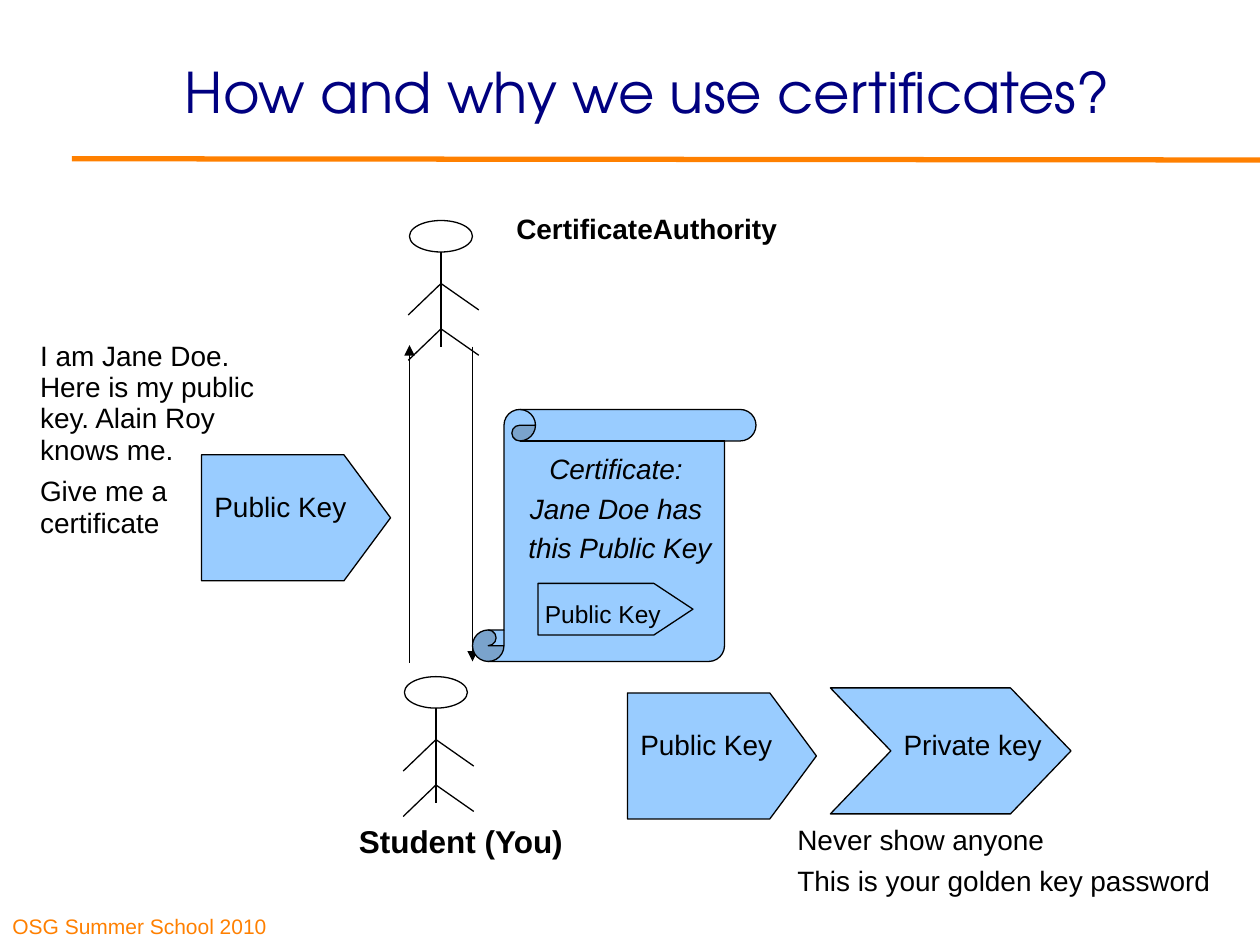
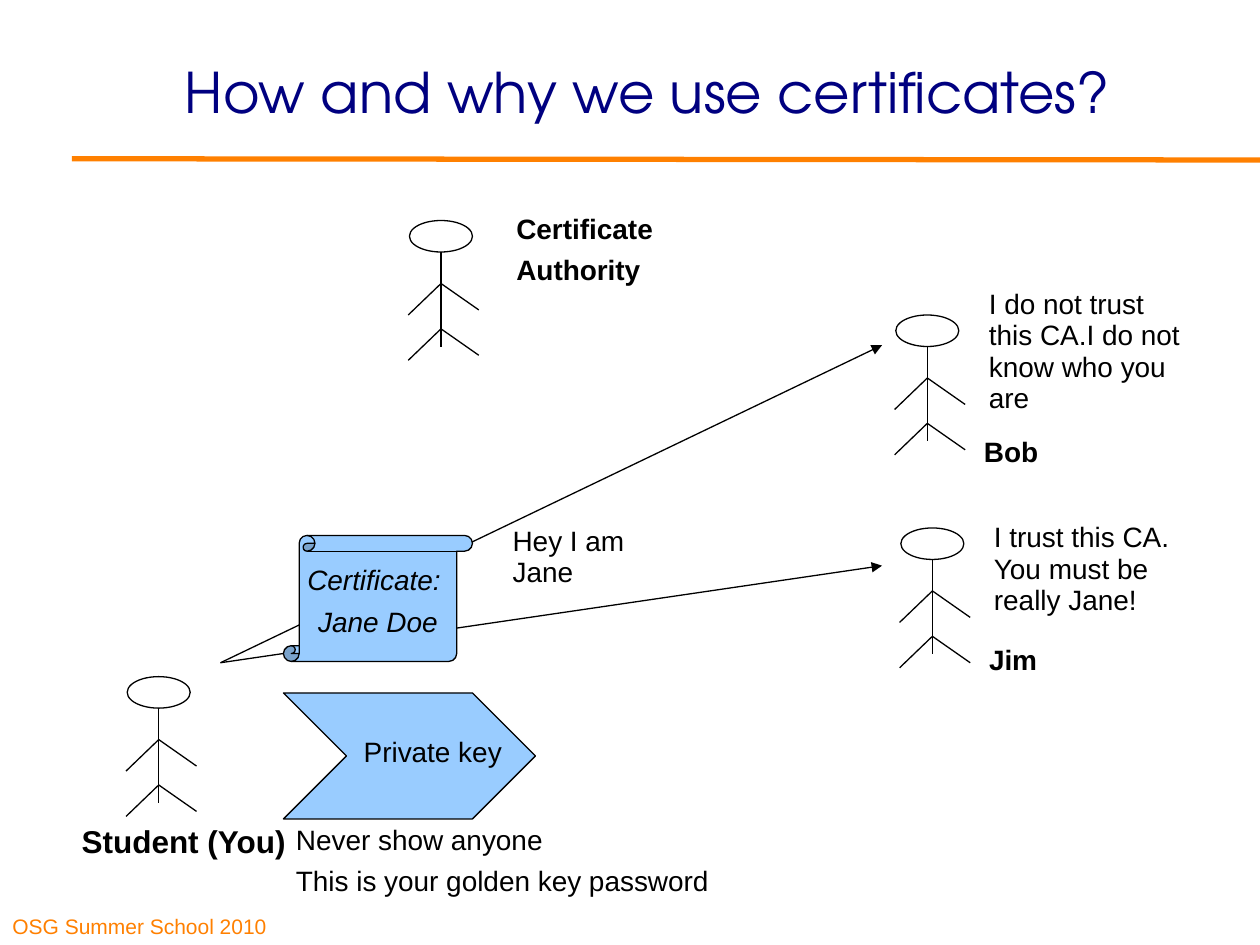
from lxml import etree
from pptx import Presentation
from pptx.dml.color import RGBColor
from pptx.enum.shapes import MSO_CONNECTOR, MSO_SHAPE
from pptx.enum.text import MSO_ANCHOR, MSO_AUTO_SIZE, PP_ALIGN
from pptx.oxml.ns import qn
from pptx.util import Inches, Pt

STRAIGHT = MSO_CONNECTOR.STRAIGHT
OVAL, SCROLL = MSO_SHAPE.OVAL, MSO_SHAPE.VERTICAL_SCROLL
PENTAGON, CHEVRON = MSO_SHAPE.PENTAGON, MSO_SHAPE.CHEVRON
LEFT, CENTER = PP_ALIGN.LEFT, PP_ALIGN.CENTER
TOP, MIDDLE, BOTTOM = MSO_ANCHOR.TOP, MSO_ANCHOR.MIDDLE, MSO_ANCHOR.BOTTOM
NO_AUTOFIT = MSO_AUTO_SIZE.NONE

BLACK, NAVY, ORANGE, SKY = "000000", "000080", "FF8000", "99CCFF"
BODY_FONT, TITLE_FONT = "Arial", "TeX Gyre Adventor"
TITLE = "How and why we use certificates?"
FOOTER = "OSG Summer School 2010"
SECRET = ["Never show anyone", "This is your golden key password"]
BOLD, ITALIC = {"bold": True}, {"italic": True}
STUDENT = dict(BOLD, size=18)
CENTERED = dict(BOLD, align=CENTER)

# figures: head corner; arrows: from, to; scrolls: box, lines
# keys: shape, box, point depth, label, label box, size; texts: box, lines, style
SLIDES = [
    {
        "figures": [(3.25, 1.75), (3.21, 5.37)],
        "arrows": [(3.25, 5.26, 3.25, 2.74), (3.75, 2.75, 3.75, 5.25)],
        "scrolls": [((3.75, 3.25, 2.25, 2), [])],
        "keys": [
            (CHEVRON, (6.59, 5.46, 1.91, 1), 0.48, "Private key", (7.04, 5.75, 1.36, 0.35), 16),
            (PENTAGON, (4.98, 5.5, 1.5, 1), 0.37, "Public Key", (4.98, 5.75, 1.25, 0.35), 16),
            (PENTAGON, (1.6, 3.61, 1.5, 1), 0.37, "Public Key", (1.6, 3.86, 1.25, 0.35), 16),
            (PENTAGON, (4.27, 4.63, 1.23, 0.41), 0.31, "Public Key", (4.27, 4.73, 1.03, 0.14), 14),
        ],
        "texts": [
            ((4, 1.65, 2.5, 0.35), ["CertificateAuthority"], BOLD),
            ((2.75, 6.5, 2, 0.38), ["Student (You)"], STUDENT),
            ((0.22, 2.66, 2.17, 1.66),
             ["I am Jane Doe. Here is my public key. Alain Roy knows me.",
              "Give me a certificate"], {}),
            ((6.23, 6.5, 3.55, 0.68), SECRET, {}),
            ((3.92, 3.57, 2, 0.97), ["Certificate: ", "Jane Doe has ", "this Public Key"],
             dict(ITALIC, align=CENTER, spacing=0.87)),
        ],
    },
    {
        "figures": [(3.25, 1.75), (1.01, 5.37), (7.11, 2.5), (7.15, 4.19)],
        "arrows": [(1.75, 5.26, 7, 2.74), (1.75, 5.26, 7, 4.49)],
        "scrolls": [((2.25, 4.25, 1.5, 1), ["Certificate: ", "Jane Doe"])],
        "keys": [
            (CHEVRON, (2.25, 5.5, 2, 1), 0.5, "Private key", (2.72, 5.8, 1.43, 0.35), 16),
        ],
        "texts": [
            ((4, 1.65, 2.5, 0.68), ["Certificate", "Authority"], BOLD),
            ((0.55, 6.5, 2, 0.38), ["Student (You)"], STUDENT),
            ((2.25, 6.5, 3.55, 0.68), SECRET, {}),
            ((7.71, 3.42, 0.63, 0.35), ["Bob"], CENTERED),
            ((7.75, 5.07, 0.58, 0.35), ["Jim"], CENTERED),
            ((3.97, 4.13, 1.28, 0.59), ["Hey I am Jane"], {}),
            ((7.75, 2.25, 1.75, 0.84), ["I do not trust this CA.I do not know who you are"], {}),
            ((7.79, 4.1, 1.75, 0.84), ["I trust this CA. You must be really Jane!"], {}),
        ],
    },
]


def rgb(color):
    """Turn a hex string into a colour."""
    return RGBColor.from_string(color)


def inches(values):
    """Convert a sequence of numbers to lengths."""
    return [Inches(v) for v in values]


def write(tf, lines, size=16, color=BLACK, font=BODY_FONT, bold=False, italic=False,
          align=LEFT, spacing=0.93, anchor=TOP, inset=(0.1, 0.05)):
    """Fill a text frame with one paragraph per line."""
    tf.auto_size = NO_AUTOFIT
    tf.word_wrap = align == LEFT
    tf.vertical_anchor = anchor
    tf.margin_left = tf.margin_right = Inches(inset[0])
    tf.margin_top = tf.margin_bottom = Inches(inset[1])
    for i, line in enumerate(lines):
        p = tf.paragraphs[0] if i == 0 else tf.add_paragraph()
        p.alignment, p.line_spacing = align, spacing
        p.space_before = Pt(6 if i else 0)
        r = p.add_run()
        r.text = line
        r.font.name, r.font.size = font, Pt(size)
        r.font.bold, r.font.italic = bold, italic
        r.font.color.rgb = rgb(color)


def add_text(shapes, box, lines, **style):
    """Add a text box."""
    write(shapes.add_textbox(*inches(box)).text_frame, lines, **style)


def add_line(shapes, ends, color=BLACK, width=0.75, arrow=False):
    """Add a straight line, with an arrowhead at its end if asked."""
    cxn = shapes.add_connector(STRAIGHT, *inches(ends))
    cxn.line.color.rgb = rgb(color)
    cxn.line.width = Pt(width)
    sp_pr = cxn._element.spPr
    if arrow:
        etree.SubElement(sp_pr.find(qn("a:ln")), qn("a:tailEnd"), type="triangle")
    etree.SubElement(sp_pr, qn("a:effectLst"))


def add_outlined(shapes, kind, box, fill=None):
    """Add a preset shape with a thin black outline."""
    sp = shapes.add_shape(kind, *inches(box))
    sp.shadow.inherit = False
    if fill:
        sp.fill.solid()
        sp.fill.fore_color.rgb = rgb(fill)
    else:
        sp.fill.background()
    sp.line.color.rgb = rgb(BLACK)
    sp.line.width = Pt(0.75)
    return sp


def add_figure(slide, x, y):
    """Draw a stick figure whose head starts at x, y."""
    shapes = slide.shapes.add_group_shape().shapes
    add_outlined(shapes, OVAL, (x, y, 0.5, 0.25))
    mid = x + 0.25
    add_line(shapes, (mid, y + 0.25, mid, y + 1))
    for joint in (y + 0.5, y + 0.86):
        add_line(shapes, (mid, joint, x - 0.01, joint + 0.25))
        add_line(shapes, (mid, joint, x + 0.55, joint + 0.21))


def add_key(slide, kind, box, depth, label, label_box, size):
    """Draw a key as a pointed block with its label."""
    shapes = slide.shapes.add_group_shape().shapes
    sp = add_outlined(shapes, kind, box, SKY)
    sp.adjustments[0] = depth / box[3]
    add_text(shapes, label_box, [label], size=size, align=CENTER)


def add_frame(slide):
    """Add the footer, rule and title shared by the slides."""
    add_text(slide.shapes, (0, 7.08, 2.48, 0.42), [FOOTER], size=12, color=ORANGE,
             spacing=1.0, anchor=BOTTOM)
    add_line(slide.shapes, (0.57, 1.26, 10, 1.27), ORANGE, 3)
    title = slide.shapes.title
    title.left, title.top, title.width, title.height = inches((1.34, 0.17, 7.6, 1.15))
    write(title.text_frame, [TITLE], size=32, color=NAVY, font=TITLE_FONT, align=CENTER,
          spacing=0.98, anchor=MIDDLE, inset=(0, 0))


def add_slide(prs, content):
    """Build one slide from its content."""
    slide = prs.slides.add_slide(prs.slide_layouts[5])
    add_frame(slide)
    for corner in content["figures"]:
        add_figure(slide, *corner)
    for ends in content["arrows"]:
        add_line(slide.shapes, ends, arrow=True)
    for box, lines in content["scrolls"]:
        sp = add_outlined(slide.shapes, SCROLL, box, SKY)
        write(sp.text_frame, lines, italic=True, align=CENTER, anchor=MIDDLE)
    for key in content["keys"]:
        add_key(slide, *key)
    for box, lines, style in content["texts"]:
        add_text(slide.shapes, box, lines, **style)


def main():
    """Build and save the presentation."""
    prs = Presentation()
    prs.slide_width, prs.slide_height = inches((10, 7.5))
    for content in SLIDES:
        add_slide(prs, content)
    prs.save("out.pptx")


if __name__ == "__main__":
    main()
